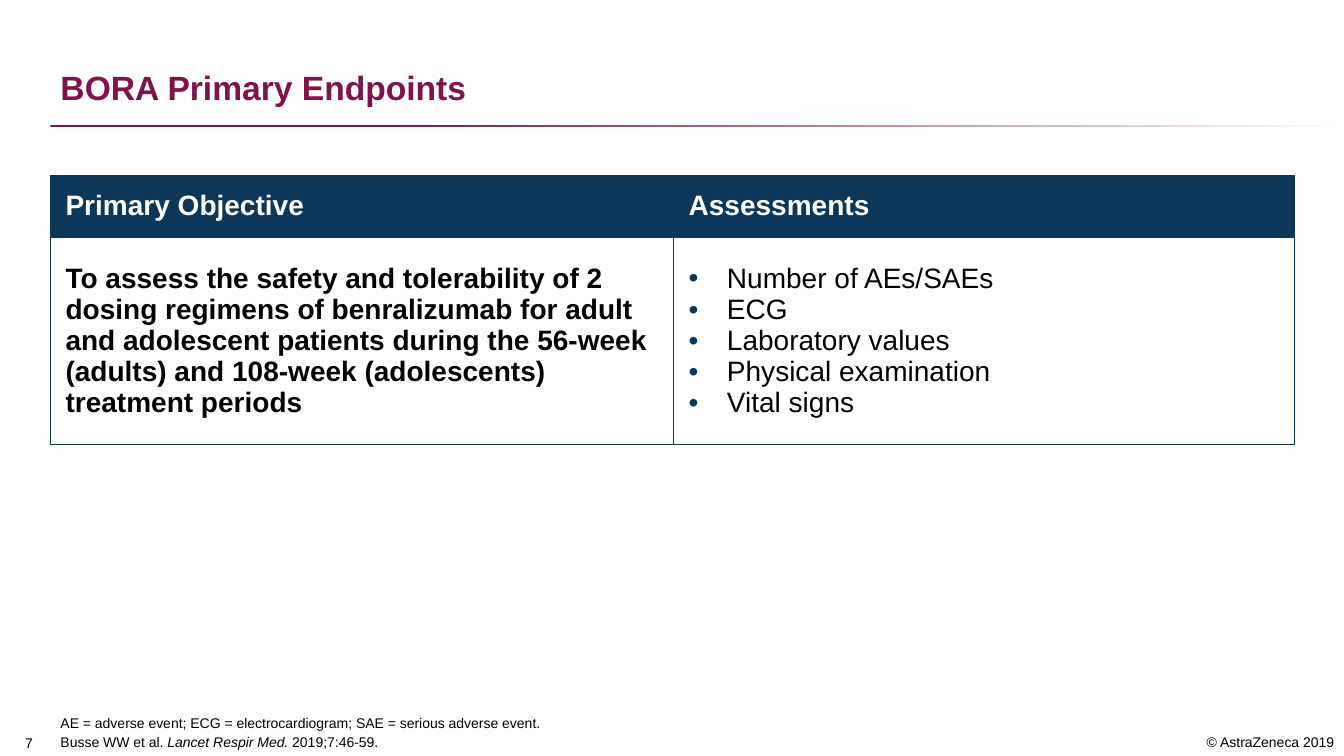
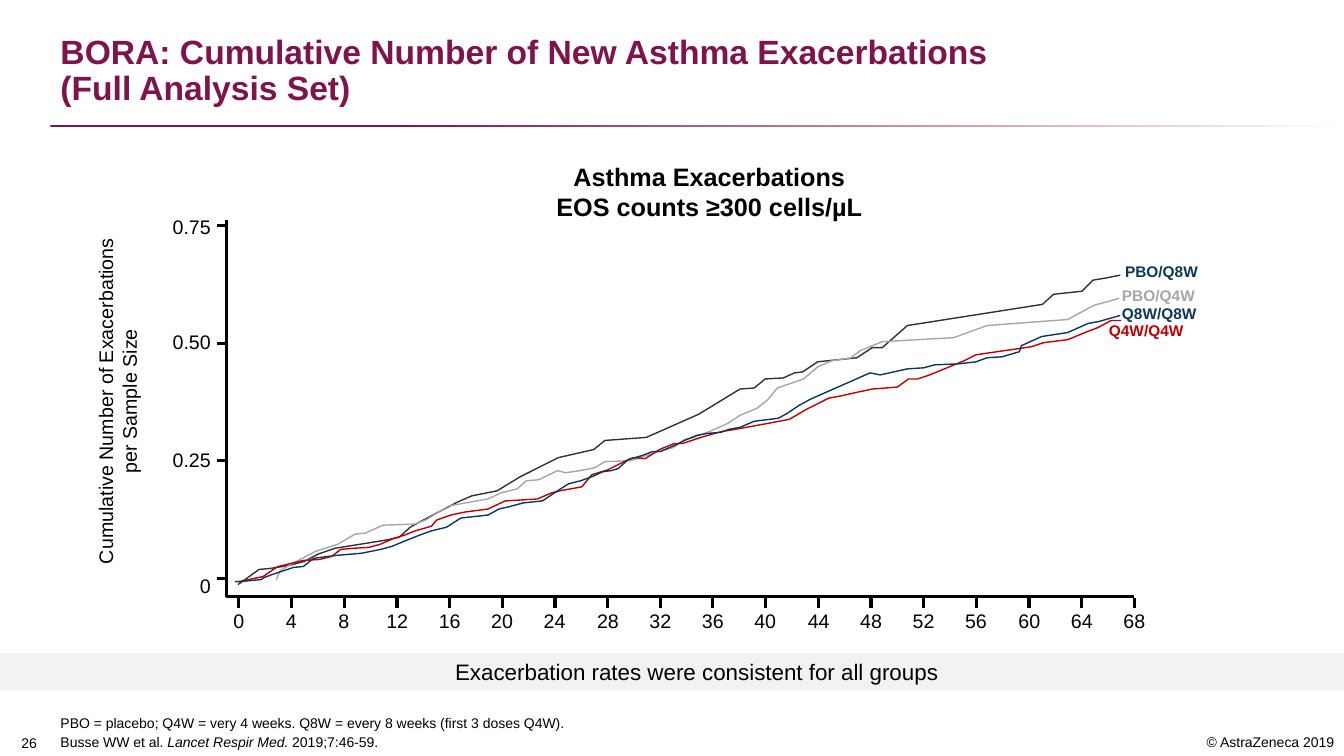
from dataclasses import dataclass
from typing import Any

from lxml.etree import SubElement
from pptx import Presentation
from pptx.dml.color import RGBColor
from pptx.enum.shapes import MSO_CONNECTOR, MSO_SHAPE
from pptx.enum.text import MSO_ANCHOR as ANCHOR, MSO_AUTO_SIZE, PP_ALIGN as ALIGN
from pptx.oxml.ns import qn
from pptx.util import Inches, Pt

CELL = Inches(0.01)
COLS, ROWS = 1333, 750

PLUM = RGBColor(0x7F, 0x13, 0x4C)
NAVY = RGBColor(0x0D, 0x37, 0x59)
RED = RGBColor(0xC0, 0x00, 0x00)
CHARCOAL = RGBColor(0x2F, 0x33, 0x33)
SILVER = RGBColor(0xA6, 0xA6, 0xA6)
PALE = RGBColor(0xF2, 0xF2, 0xF2)
WHITE = RGBColor(0xFF, 0xFF, 0xFF)
BLACK = RGBColor(0x00, 0x00, 0x00)

FONT = "Arial"
CITATION = (("Busse WW et al. ", False), ("Lancet Respir Med. ", True), ("2019;7:46-59.", False))


@dataclass(frozen=True)
class Box:
    col: int
    row: int
    cols: int
    rows: int

    def emu(self) -> tuple[int, ...]:
        return tuple(n * CELL for n in (self.col, self.row, self.cols, self.rows))


@dataclass(frozen=True)
class Style:
    size: float
    color: RGBColor = BLACK
    bold: bool = False
    align: Any = ALIGN.LEFT
    spacing: float = 1.0
    before: float = 0


@dataclass(frozen=True)
class Curve:
    label: str
    label_col: int
    label_row: int
    label_color: RGBColor
    color: RGBColor
    points: tuple[tuple[int, int], ...]


SMALL = Style(10)
SMALL_RIGHT = Style(10, align=ALIGN.RIGHT)
SMALL_CENTER = Style(10, align=ALIGN.CENTER)
NOTE = Style(10, spacing=0.9, before=3)
TITLE = Style(24, PLUM, True, spacing=0.9)
HEADING = Style(18, bold=True, align=ALIGN.CENTER)
TAKEAWAY = Style(16, align=ALIGN.CENTER)
AXIS = Style(14, align=ALIGN.CENTER)
AXIS_RIGHT = Style(14, align=ALIGN.RIGHT)
HEAD_CELL = Style(20, WHITE, True)
BOLD_CELL = Style(20, bold=True)
LIST_CELL = Style(20)

PBO_Q8W = Curve("PBO/Q8W", 1106, 255, NAVY, CHARCOAL, (
    (1111, 273), (1096, 276), (1084, 278), (1073, 289), (1045, 292), (1034, 302), (900, 323),
    (875, 345), (865, 345), (850, 355), (811, 359), (796, 369), (788, 370), (777, 375),
    (759, 376), (748, 385), (734, 386), (693, 411), (641, 434), (600, 437), (589, 446),
    (554, 454), (534, 464), (516, 473), (493, 487), (468, 492), (454, 498), (418, 517),
    (407, 523), (396, 533), (382, 536), (332, 544), (315, 550), (302, 557), (287, 561),
    (268, 564), (257, 565), (236, 580)))
PBO_Q4W = Curve("PBO/Q4W", 1103, 279, SILVER, SILVER, (
    (1110, 296), (1085, 303), (1059, 317), (979, 323), (946, 335), (875, 339), (853, 348),
    (844, 355), (825, 358), (811, 364), (797, 376), (771, 385), (761, 397), (751, 405),
    (734, 412), (722, 420), (704, 428), (688, 434), (679, 436), (668, 444), (650, 449),
    (644, 451), (626, 457), (600, 458), (590, 464), (575, 467), (561, 469), (553, 467),
    (534, 476), (522, 477), (513, 485), (497, 489), (484, 495), (445, 502), (422, 516),
    (411, 520), (380, 521), (362, 529), (352, 530), (335, 540), (313, 547), (294, 557),
    (285, 562), (278, 566), (274, 575)))
Q4W_Q4W = Curve("Q4W/Q4W", 1090, 314, RED, RED, (
    (1112, 318), (1102, 318), (1089, 325), (1076, 330), (1059, 337), (1035, 340), (1023, 344),
    (968, 352), (956, 358), (922, 372), (910, 376), (901, 376), (890, 384), (865, 386),
    (851, 389), (833, 393), (822, 395), (800, 406), (783, 416), (762, 420), (740, 424),
    (723, 427), (716, 428), (695, 434), (677, 440), (669, 440), (654, 446), (640, 455),
    (628, 454), (619, 458), (603, 466), (587, 471), (577, 483), (555, 487), (547, 489),
    (533, 495), (501, 497), (484, 505), (461, 508), (447, 511), (433, 516), (428, 522),
    (411, 527), (401, 531), (391, 534), (377, 540), (366, 543), (350, 544), (338, 545),
    (329, 552), (317, 555), (301, 556), (276, 562), (274, 563), (261, 572), (237, 577)))
Q8W_Q8W = Curve("Q8W/Q8W", 1103, 297, NAVY, NAVY, (
    (1111, 313), (1090, 319), (1079, 321), (1059, 330), (1039, 333), (1033, 334), (1013, 343),
    (1011, 349), (994, 354), (979, 355), (968, 359), (951, 361), (927, 362), (916, 365),
    (900, 366), (873, 372), (863, 370), (804, 396), (793, 402), (781, 410), (772, 415),
    (748, 418), (734, 424), (723, 426), (715, 429), (702, 430), (691, 432), (679, 437),
    (671, 441), (655, 448), (647, 448), (637, 452), (623, 456), (613, 465), (606, 467),
    (598, 468), (587, 473), (576, 477), (564, 480), (553, 487), (538, 497), (519, 499),
    (504, 503), (495, 505), (484, 511), (457, 514), (443, 523), (427, 527), (416, 531),
    (401, 537), (389, 542), (378, 545), (358, 549), (334, 551), (326, 552), (311, 554),
    (301, 562), (291, 563), (270, 570), (262, 573), (259, 575), (238, 577), (233, 577)))
CURVES = (PBO_Q8W, PBO_Q4W, Q4W_Q4W, Q8W_Q8W)

AXIS_COL, AXIS_ROW = 225, 592
FIRST_WEEK_COL, LAST_WEEK_COL = 237, 1125
LAST_WEEK, WEEK_STEP = 68, 4
TICK = 10
RATE_TICKS = (("0", 574, 564), ("0.25", 457, 439), ("0.50", 341, 322), ("0.75", 224, 208))


def apply(obj: Any, **values: Any) -> None:
    for name, value in values.items():
        setattr(obj, name, value)


def write(p: Any, runs: Any, style: Style, first: bool = True) -> None:
    apply(p, alignment=style.align, line_spacing=style.spacing,
          space_before=Pt(0 if first else style.before))
    for text, italic in ((runs, False),) if isinstance(runs, str) else runs:
        for i, part in enumerate(text.split("\n")):
            if i:
                p.add_line_break()
            r = p.add_run()
            r.text = part
            apply(r.font, name=FONT, size=Pt(style.size), bold=style.bold, italic=italic)
            r.font.color.rgb = style.color


def write_all(tf: Any, lines: Any, style: Style, anchor: Any = ANCHOR.TOP) -> None:
    apply(tf, word_wrap=True, auto_size=MSO_AUTO_SIZE.NONE, vertical_anchor=anchor)
    for i, line in enumerate(lines):
        write(tf.add_paragraph() if i else tf.paragraphs[0], line, style, i == 0)


def add_text(s: Any, box: Box, lines: Any, style: Style, anchor: Any = ANCHOR.TOP) -> Any:
    tf = s.shapes.add_textbox(*box.emu()).text_frame
    write_all(tf, lines, style, anchor)
    return tf


def add_bar(s: Any, box: Box) -> Any:
    sp = s.shapes.add_shape(MSO_SHAPE.RECTANGLE, *box.emu())
    sp.shadow.inherit = False
    sp.line.fill.background()
    return sp


def add_path(s: Any, points: Any, color: RGBColor, width: float) -> None:
    builder = s.shapes.build_freeform(*points[0], scale=CELL)
    builder.add_line_segments(points[1:], close=False)
    sp = builder.convert_to_shape()
    sp.shadow.inherit = False
    sp.fill.background()
    sp.line.color.rgb = color
    sp.line.width = Pt(width)


def add_tick(s: Any, col: float, row: float, cols: int, rows: int) -> None:
    ends = (round(n * CELL) for n in (col, row, col + cols, row + rows))
    line = s.shapes.add_connector(MSO_CONNECTOR.STRAIGHT, *ends)
    line.line.color.rgb = BLACK
    line.line.width = Pt(2.25)
    SubElement(line._element.spPr, qn("a:effectLst"))


def set_bullet(p: Any, indent: float, color: RGBColor | None = None) -> None:
    pPr = p._p.get_or_add_pPr()
    pPr.set("marL", str(Inches(indent)))
    pPr.set("indent", str(-Inches(indent)))
    if color is None:
        SubElement(pPr, qn("a:buNone"))
        return
    SubElement(SubElement(pPr, qn("a:buClr")), qn("a:srgbClr")).set("val", str(color))
    SubElement(pPr, qn("a:buFont")).set("typeface", FONT)
    SubElement(pPr, qn("a:buChar")).set("char", "•")


def add_slide(prs: Any, title: str, number: str, abbreviations: str) -> Any:
    s = prs.slides.add_slide(prs.slide_layouts[1])
    add_text(s, Box(1111, 723, 222, 27), ["© AstraZeneca 2019"], SMALL_RIGHT)
    fill = add_bar(s, Box(50, 124, COLS - 50, 2)).fill
    fill.gradient()
    fill.gradient_angle = 0
    for stop, position, color in zip(fill.gradient_stops, (0.26, 1), (PLUM, WHITE)):
        stop.position = position
        stop.color.rgb = color

    body = s.placeholders[1]
    contents = ((s.shapes.title, Box(50, 25, 1233, 87), [title], TITLE),
                (body, Box(50, 640, 1078, 110), [abbreviations, CITATION], NOTE))
    for sp, box, lines, style in contents:
        apply(sp, **dict(zip(("left", "top", "width", "height"), box.emu())))
        write_all(sp.text_frame, lines, style, ANCHOR.BOTTOM)
    for p in body.text_frame.paragraphs:
        set_bullet(p, 0)

    tf = add_text(s, Box(0, 721, 53, 29), [number], SMALL_CENTER, ANCHOR.BOTTOM)
    tf.margin_right = Inches(0.05)
    return s


def set_borders(cell: Any) -> None:
    tcPr = cell._tc.get_or_add_tcPr()
    for i, side in enumerate(("lnL", "lnR", "lnT", "lnB")):
        ln = tcPr.makeelement(qn(f"a:{side}"), {"w": str(Pt(1))})
        SubElement(SubElement(ln, qn("a:solidFill")), qn("a:srgbClr")).set("val", str(NAVY))
        tcPr.insert(i, ln)


def add_endpoints(s: Any) -> None:
    table = s.shapes.add_table(2, 2, *Box(50, 174, 1234, 267).emu()).table
    for column, cols in zip(table.columns, (618, 616)):
        column.width = cols * CELL
    for row, rows in zip(table.rows, (61, 206)):
        row.height = rows * CELL
    assessments = ["Number of AEs/SAEs", "ECG", "Laboratory values", "Physical examination", "Vital signs"]
    objective = ("To assess the safety and tolerability of 2 dosing regimens of benralizumab for adult "
                 "and adolescent patients during the 56-week (adults) and 108-week (adolescents) "
                 "treatment periods")
    contents = ((["Primary Objective"], HEAD_CELL, NAVY), (["Assessments"], HEAD_CELL, NAVY),
                ([objective], BOLD_CELL, WHITE), (assessments, LIST_CELL, WHITE))
    for cell, (lines, style, color) in zip(table.iter_cells(), contents):
        cell.fill.solid()
        cell.fill.fore_color.rgb = color
        set_borders(cell)
        apply(cell, vertical_anchor=ANCHOR.MIDDLE,
              **{f"margin_{side}": Inches(0.15) for side in ("left", "right", "top", "bottom")})
        for i, line in enumerate(lines):
            p = cell.text_frame.add_paragraph() if i else cell.text_frame.paragraphs[0]
            if style is LIST_CELL:
                set_bullet(p, 0.38, NAVY)
            write(p, line, style, i == 0)


def add_plot(s: Any) -> None:
    add_text(s, Box(151, 155, 1105, 71), ["Asthma Exacerbations", "EOS counts ≥300 cells/µL"], HEADING)
    tf = add_text(s, Box(88, 219, 67, 358),
                  ["Cumulative Number of Exacerbations\nper Sample Size"], AXIS)
    tf._txBody.bodyPr.set("vert", "vert270")

    add_path(s, ((AXIS_COL, 218), (AXIS_COL, AXIS_ROW), (LAST_WEEK_COL, AXIS_ROW)), BLACK, 2.25)
    for week in range(0, LAST_WEEK + 1, WEEK_STEP):
        col = FIRST_WEEK_COL + (LAST_WEEK_COL - FIRST_WEEK_COL) * week / LAST_WEEK
        add_tick(s, col, AXIS_ROW + 1, 0, TICK)
        add_text(s, Box(round(col) - 26, 599, 52, 34), [str(week)], AXIS)
    for label, row, label_row in RATE_TICKS:
        add_tick(s, AXIS_COL - TICK, row, TICK, 0)
        add_text(s, Box(150, label_row, 69, 34), [label], AXIS_RIGHT)

    for curve in CURVES:
        add_path(s, curve.points, curve.color, 1)
    for curve in CURVES:
        add_text(s, Box(curve.label_col, curve.label_row, 110, 29), [curve.label],
                 Style(11, curve.label_color, True))


def add_takeaway(s: Any, text: str) -> None:
    band = add_bar(s, Box(0, 648, COLS, 37))
    band.fill.solid()
    band.fill.fore_color.rgb = PALE
    write_all(band.text_frame, [text], TAKEAWAY, ANCHOR.MIDDLE)
    band.text_frame.paragraphs[0]._p.get_or_add_pPr().set("marL", str(Inches(0.49)))


def main() -> None:
    prs = Presentation()
    apply(prs, slide_width=COLS * CELL, slide_height=ROWS * CELL)

    s = add_slide(prs, "BORA Primary Endpoints", "7",
                  "AE = adverse event; ECG = electrocardiogram; SAE = serious adverse event.")
    add_endpoints(s)

    s = add_slide(prs, "BORA: Cumulative Number of New Asthma Exacerbations\n(Full Analysis Set)", "26",
                  "PBO = placebo; Q4W = very 4 weeks. Q8W = every 8 weeks (first 3 doses Q4W).")
    add_takeaway(s, "Exacerbation rates were consistent for all groups")
    add_plot(s)

    prs.save("out.pptx")


if __name__ == "__main__":
    main()
